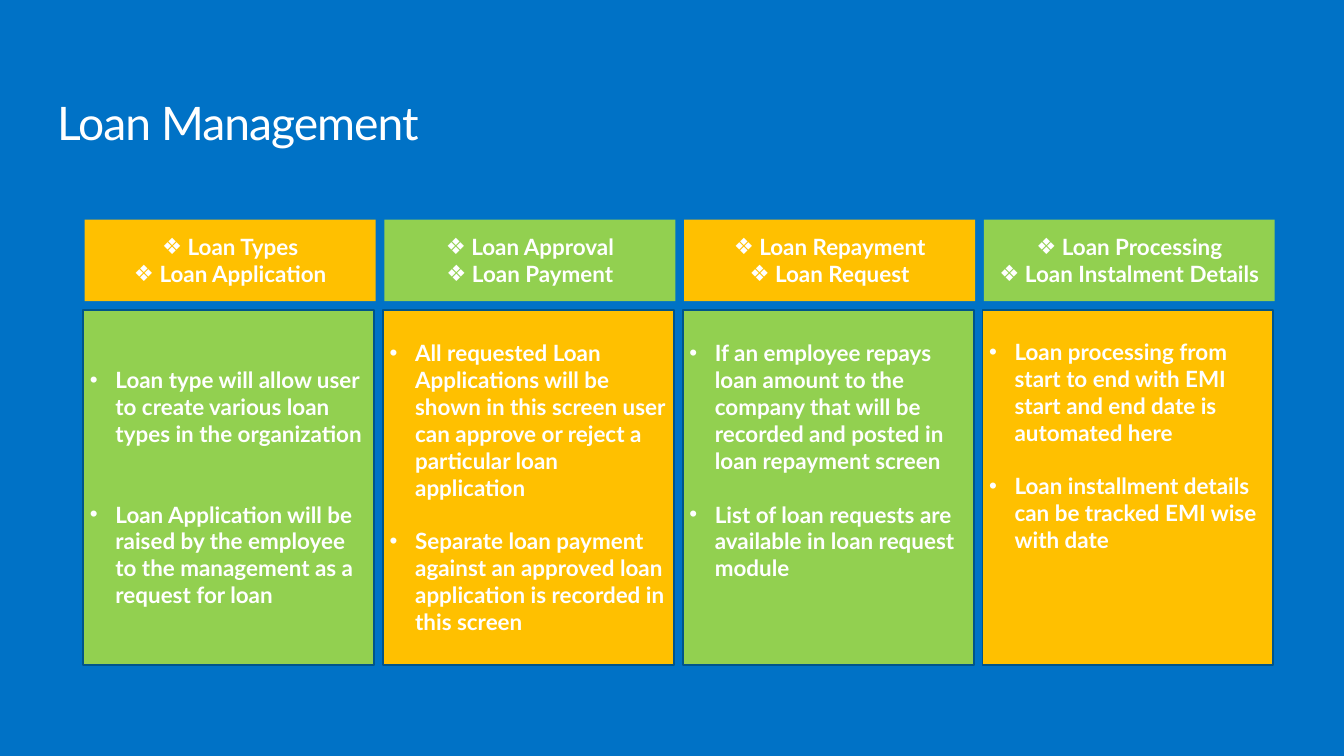
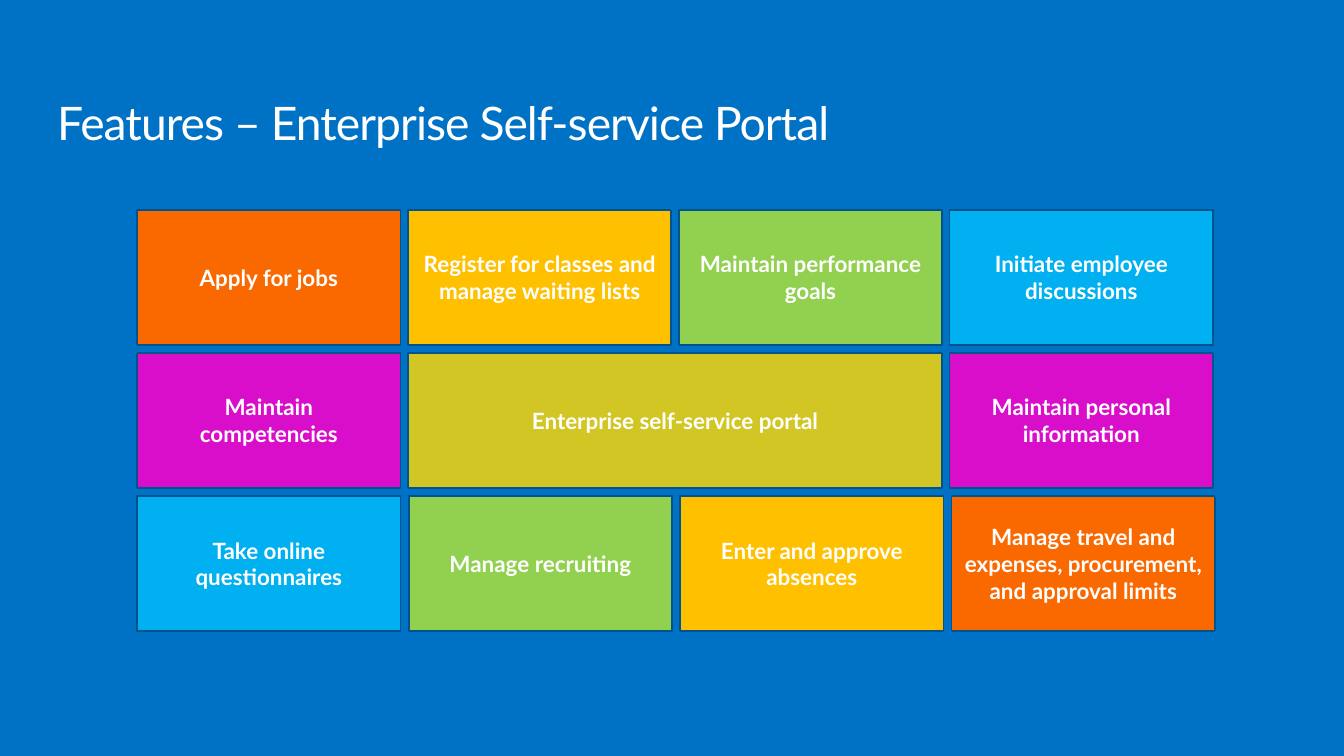
from lxml.etree import SubElement
from pptx import Presentation
from pptx.dml.color import RGBColor
from pptx.enum.shapes import MSO_SHAPE as Shape
from pptx.enum.text import MSO_ANCHOR as Anchor, MSO_AUTO_SIZE as AutoSize, PP_ALIGN as Align
from pptx.oxml.ns import qn
from pptx.util import Inches, Pt

BLUE = RGBColor(0x00, 0x72, 0xC6)
NAVY = RGBColor(0x00, 0x54, 0x8B)
WHITE = RGBColor(0xFF, 0xFF, 0xFF)
GREEN = RGBColor(0x92, 0xD0, 0x50)
AMBER = RGBColor(0xFF, 0xC0, 0x00)
ORANGE = RGBColor(0xFA, 0x68, 0x00)
SKY = RGBColor(0x00, 0xB0, 0xF0)
MAGENTA = RGBColor(0xD8, 0x0E, 0xCA)
OLIVE = RGBColor(0xD2, 0xC6, 0x24)

FONT = "Lato"
TEXT_SIZE = 24
LINE_PITCH = 1.2 * TEXT_SIZE
INDENT = Inches(0.38)

COLUMN_LEFT, COLUMN_STEP, COLUMN_WIDTH = 1.24, 4.46, 4.33
HEAD_TOP, HEAD_HEIGHT, HEAD_SHIFT = 3.27, 1.21, 0.02
CARD_TOP, CARD_HEIGHT = 4.61, 5.28

TILE_LEFT, TILE_TOP = 2.04, 3.12
TILE_WIDTH, TILE_HEIGHT = 3.92, 2.01
TILE_ROW_STEP = 2.13

LOAN_COLUMNS = [
    (AMBER, ["Loan Types", "Loan Application"], GREEN, 0.84, 2,
     ["Loan type will allow user to create various loan types in the organization",
      "Loan Application will be raised by the employee to the management as a request for loan"]),
    (GREEN, ["Loan Approval", "Loan Payment"], AMBER, 0.44, 1,
     ["All requested Loan Applications will be shown in this screen user can approve "
      "or reject a particular loan application",
      "Separate loan payment against an approved loan application is recorded in this screen"]),
    (AMBER, ["Loan Repayment", "Loan Request"], GREEN, 0.44, 1,
     ["If an employee repays loan amount to the company that will be recorded and posted "
      "in loan repayment screen",
      "List of loan requests are available in loan request module"]),
    (GREEN, ["Loan Processing", "Loan Instalment Details"], AMBER, 0.42, 1,
     ["Loan processing from start to end with EMI start and end date is automated here",
      "Loan installment details can be tracked EMI wise with date"]),
]

PORTAL_ROWS = [
    (4.03, [(ORANGE, 1, ["Apply for jobs"]),
            (AMBER, 1, ["Register for classes and manage waiting lists"]),
            (GREEN, 1, ["Maintain performance goals"]),
            (SKY, 1, ["Initiate employee discussions"])]),
    (4.03, [(MAGENTA, 1, ["Maintain", "competencies"]),
            (OLIVE, 2, ["Enterprise self-service portal"]),
            (MAGENTA, 1, ["Maintain personal information"])]),
    (4.04, [(SKY, 1, ["Take online questionnaires"]),
            (GREEN, 1, ["Manage recruiting"]),
            (AMBER, 1, ["Enter and approve absences"]),
            (ORANGE, 1, ["Manage travel and expenses, procurement, and approval limits"])]),
]


def add_run(p, text, size, bold):
    r = p.add_run()
    r.text = text
    r.font.name = FONT
    r.font.size = Pt(size)
    r.font.bold = bold
    r.font.color.rgb = WHITE
    return r


def set_bullet(p, char):
    props = p._p.get_or_add_pPr()
    props.set("marL", str(INDENT))
    props.set("indent", str(-INDENT))
    SubElement(props, qn("a:buFont")).set("typeface", "Arial")
    SubElement(props, qn("a:buChar")).set("char", char)


def add_titled_slide(prs, title):
    s = prs.slides.add_slide(prs.slide_layouts[5])
    sp = s.shapes.title
    sp.left, sp.top, sp.width, sp.height = (Inches(n) for n in (0.85, 1.5, 18.29, 0.75))
    tf = sp.text_frame
    tf.margin_left = tf.margin_right = tf.margin_top = tf.margin_bottom = 0
    tf.word_wrap = True
    tf.auto_size = AutoSize.SHAPE_TO_FIT_TEXT
    tf.vertical_anchor = Anchor.TOP
    p = tf.paragraphs[0]
    p.alignment = Align.LEFT
    p.line_spacing = 0.9
    r = add_run(p, title, 49.5, False)
    r._r.get_or_add_rPr().set("spc", "-100")
    return s


def add_block(s, left, top, width, height, fill, lines, outlined=True,
              align=Align.CENTER, bullet=None, inset=None, blank_lines=0):
    sp = s.shapes.add_shape(Shape.RECTANGLE, *(Inches(n) for n in (left, top, width, height)))
    sp.shadow.inherit = False
    sp.fill.solid()
    sp.fill.fore_color.rgb = fill
    if outlined:
        sp.line.color.rgb = NAVY
        sp.line.width = Pt(2)
    else:
        sp.line.fill.background()
    tf = sp.text_frame
    tf.word_wrap = True
    tf.vertical_anchor = Anchor.MIDDLE
    if inset is not None:
        tf.vertical_anchor = Anchor.TOP
        tf.margin_top = Inches(inset)
    for i, line in enumerate(lines):
        p = tf.add_paragraph() if i else tf.paragraphs[0]
        if bullet:
            set_bullet(p, bullet)
        p.alignment = align
        if i and blank_lines:
            p.space_before = Pt(blank_lines * LINE_PITCH)
        add_run(p, line, TEXT_SIZE, True)


def add_loan_columns(s):
    for i, (head_fill, heads, card_fill, inset, blank_lines, points) in enumerate(LOAN_COLUMNS):
        left = COLUMN_LEFT + i * COLUMN_STEP
        add_block(s, left + HEAD_SHIFT, HEAD_TOP, COLUMN_WIDTH, HEAD_HEIGHT,
                  head_fill, heads, outlined=False, bullet="❖")
        add_block(s, left, CARD_TOP, COLUMN_WIDTH, CARD_HEIGHT, card_fill, points,
                  align=Align.LEFT, bullet="•", inset=inset, blank_lines=blank_lines)


def add_portal_tiles(s):
    for row, (step, tiles) in enumerate(PORTAL_ROWS):
        column = 0
        for fill, span, lines in tiles:
            add_block(s, TILE_LEFT + column * step, TILE_TOP + row * TILE_ROW_STEP,
                      TILE_WIDTH + (span - 1) * step, TILE_HEIGHT, fill, lines)
            column += span


def main():
    prs = Presentation()
    prs.slide_width, prs.slide_height = Inches(20), Inches(11.25)
    background = prs.slide_master.background.fill
    background.solid()
    background.fore_color.rgb = BLUE
    add_loan_columns(add_titled_slide(prs, "Loan Management"))
    add_portal_tiles(add_titled_slide(prs, "Features – Enterprise Self-service Portal"))
    prs.save("out.pptx")


if __name__ == "__main__":
    main()
